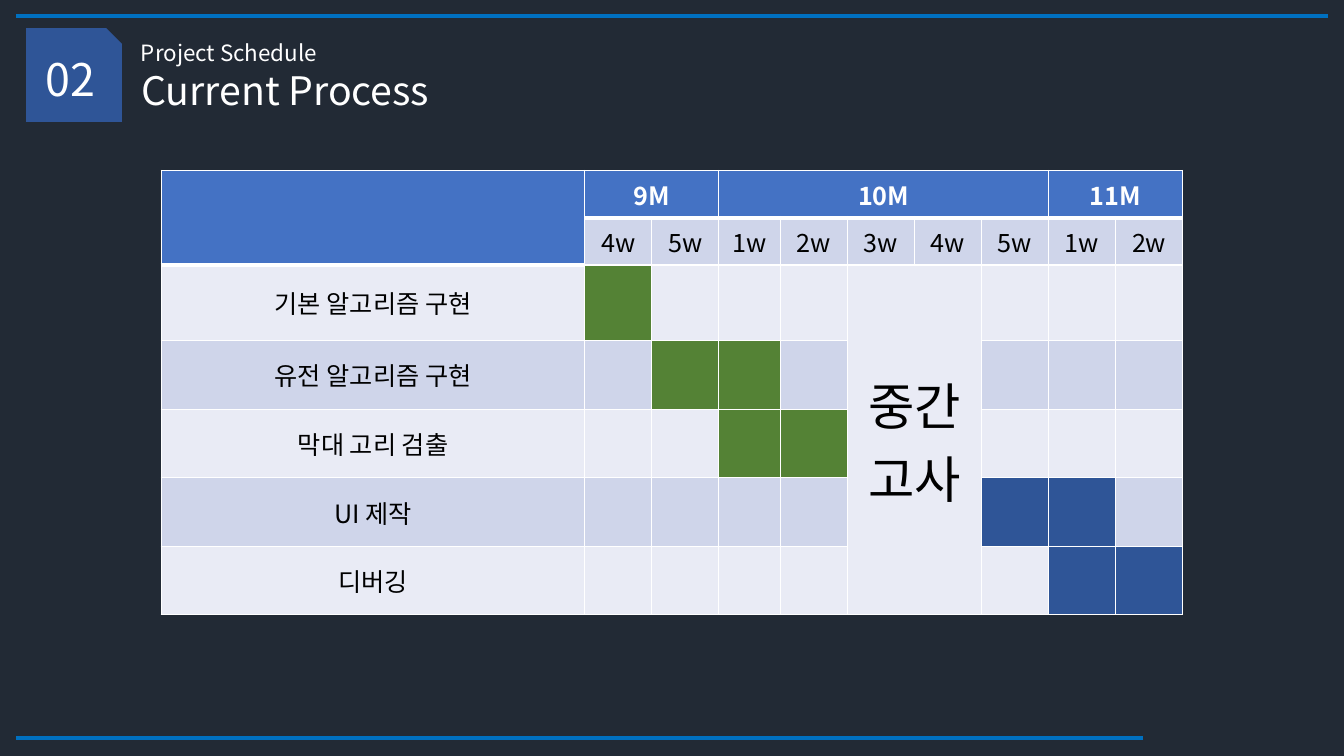
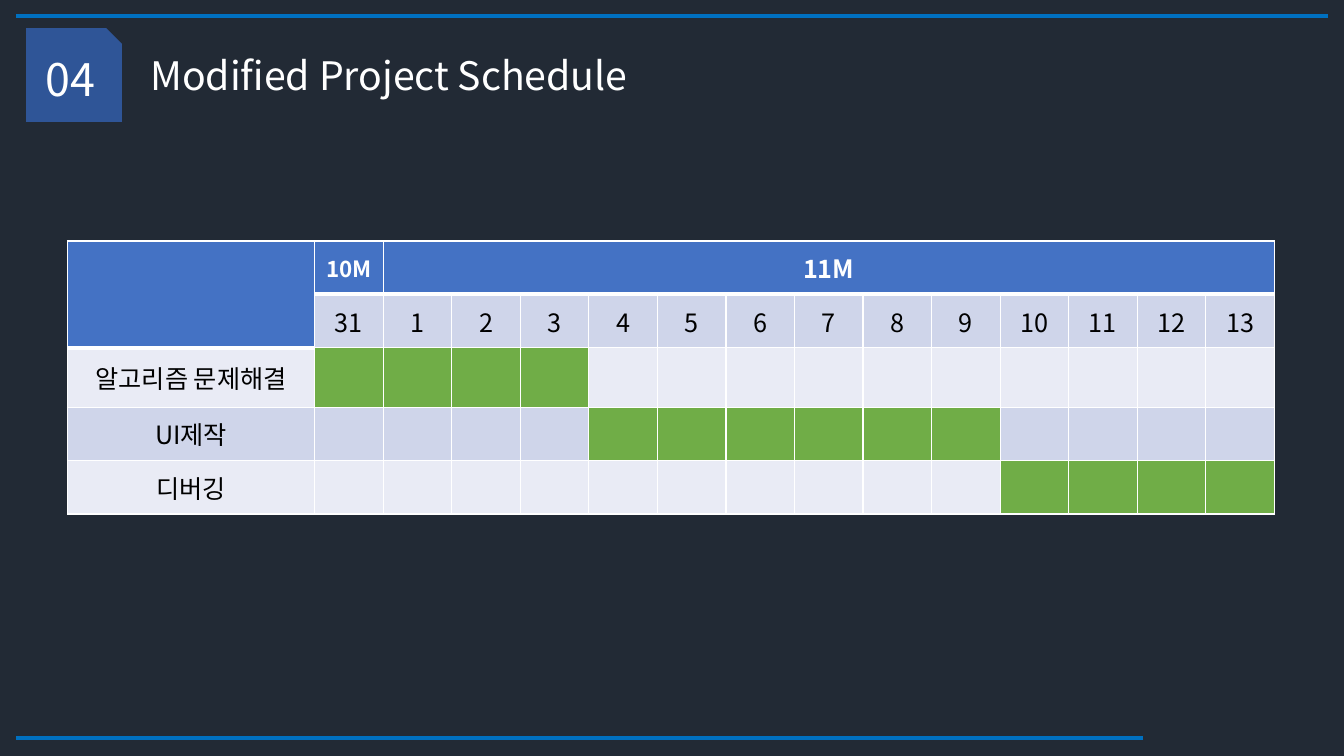
from lxml import etree
from pptx import Presentation, util as u
from pptx.dml.color import RGBColor
from pptx.enum import shapes, text
from pptx.oxml.ns import qn

FONT = "Noto Sans CJK KR"
WHITE, BLACK = "FFFFFF", "000000"
NIGHT, RULE, NAVY = "222A35", "0070C0", "2F5597"
HEADER, BAND_DARK, BAND_LIGHT = "4472C4", "CFD5EA", "E9EBF5"
DONE, PLANNED, REVISED = "548235", NAVY, "70AD47"
TITLE_ONLY = 5


def color(hex_code):
    return RGBColor.from_string(hex_code)


def box(left, top, width, height):
    return [u.Inches(n) for n in (left, top, width, height)]


def write(frame, words, size, ink=WHITE, bold=False, align=text.PP_ALIGN.LEFT):
    paragraph = frame.paragraphs[0]
    paragraph.alignment = align
    run = paragraph.add_run()
    run.text = words
    font = run.font
    font.size, font.bold, font.name = u.Pt(size), bold, FONT
    font.color.rgb = color(ink)
    etree.SubElement(font._element, qn("a:ea"), typeface=FONT)


def fit_frame(frame):
    frame.word_wrap = True
    frame.auto_size = text.MSO_AUTO_SIZE.NONE
    frame.vertical_anchor = text.MSO_ANCHOR.MIDDLE


def add_rule(slide, right, y):
    rule = slide.shapes.add_connector(
        shapes.MSO_CONNECTOR.STRAIGHT,
        u.Inches(0.16), u.Inches(y), u.Inches(right), u.Inches(y))
    rule.line.color.rgb = color(RULE)
    rule.line.width = u.Pt(3)
    etree.SubElement(rule._element.spPr, qn("a:effectLst"))


def add_badge(slide, number):
    badge = slide.shapes.add_shape(
        shapes.MSO_SHAPE.SNIP_1_RECTANGLE, *box(0.26, 0.28, 0.95, 0.93))
    badge.shadow.inherit = False
    badge.fill.solid()
    badge.fill.fore_color.rgb = color(NAVY)
    badge.line.fill.background()
    badge.text_frame.vertical_anchor = text.MSO_ANCHOR.MIDDLE
    write(badge.text_frame, number, 32, align=text.PP_ALIGN.CENTER)


def add_section_slide(prs, number, heading, heading_box, kicker=None):
    """Slide with rules, numbered badge, title and optional small line above it."""
    slide = prs.slides.add_slide(prs.slide_layouts[TITLE_ONLY])
    title = slide.shapes.title
    title.left, title.top, title.width, title.height = box(*heading_box)
    fit_frame(title.text_frame)
    write(title.text_frame, heading, 28)
    add_badge(slide, number)
    if kicker:
        line = slide.shapes.add_textbox(*box(1.3, 0.34, 8.9, 0.37))
        fit_frame(line.text_frame)
        write(line.text_frame, kicker, 16)
    add_rule(slide, 13.17, 0.16)
    add_rule(slide, 11.34, 7.32)
    return slide


def add_border(cell, side, points):
    edge = etree.SubElement(
        cell._tc.get_or_add_tcPr(), qn("a:ln" + side), w=str(u.Pt(points)))
    fill = etree.SubElement(edge, qn("a:solidFill"))
    etree.SubElement(fill, qn("a:srgbClr"), val=WHITE)


def paint(cell, fill):
    cell.fill.solid()
    cell.fill.fore_color.rgb = color(fill)


def label(cell, words, size=18, ink=BLACK, bold=False):
    cell.vertical_anchor = text.MSO_ANCHOR.MIDDLE
    write(cell.text_frame, words, size, ink, bold, text.PP_ALIGN.CENTER)


def style_cells(table):
    """Give each visible cell its white borders and its band colour."""
    for r, row in enumerate(table.rows):
        for cell in row.cells:
            if cell.is_spanned:
                continue
            for side in "LRT" if r == 0 else "LR":
                add_border(cell, side, 1)
            add_border(cell, "B", 3 if r == 0 else 1)
            paint(cell, HEADER if r == 0 else (BAND_LIGHT, BAND_DARK)[r % 2])


def add_gantt(slide, place, widths, heights, months, periods, tasks, pause=None):
    """Months are (name, periods, size); tasks are (name, first, last, colour);
    a pause is (name, first, last) and covers every task row."""
    table = slide.shapes.add_table(
        len(heights), len(widths), *box(*place, sum(widths), sum(heights))).table
    for column, width in zip(table.columns, widths):
        column.width = u.Inches(width)
    for row, height in zip(table.rows, heights):
        row.height = u.Inches(height)

    table.cell(0, 0).merge(table.cell(1, 0))
    start = 1
    for _, span, _ in months:
        if span > 1:
            table.cell(0, start).merge(table.cell(0, start + span - 1))
        start += span
    if pause:
        name, first, last = pause
        pause_cell = table.cell(2, first)
        pause_cell.merge(table.cell(len(heights) - 1, last))
    style_cells(table)

    start = 1
    for month, span, size in months:
        label(table.cell(0, start), month, size, WHITE, True)
        start += span
    for c, period in enumerate(periods, 1):
        label(table.cell(1, c), period)
    for r, (task, begin, end, bar) in enumerate(tasks, 2):
        label(table.cell(r, 0), task)
        for c in range(begin, end + 1):
            paint(table.cell(r, c), bar)
    if pause:
        label(pause_cell, name, 36)
        pause_cell._tc.get_or_add_tcPr().set("vert", "eaVert")


def add_current_process(prs):
    slide = add_section_slide(
        prs, "02", "Current Process", (1.3, 0.61, 8.9, 0.57), "Project Schedule")
    week = (10.13 - 4.2 - 0.61) / 8
    add_gantt(
        slide, (1.6, 1.69),
        [4.2] + [week] * 2 + [0.61] + [week] * 6,
        [0.47] * 2 + [0.75] + [0.68] * 4,
        [("9M", 2, 18), ("10M", 5, 18), ("11M", 2, 18)],
        ["4w", "5w", "1w", "2w", "3w", "4w", "5w", "1w", "2w"],
        [("기본 알고리즘 구현", 1, 1, DONE),
         ("유전 알고리즘 구현", 2, 3, DONE),
         ("막대 고리 검출", 3, 4, DONE),
         ("UI 제작", 7, 8, PLANNED),
         ("디버깅", 8, 9, PLANNED)],
        pause=("중간고사", 5, 6))


def add_modified_schedule(prs):
    slide = add_section_slide(
        prs, "04", "Modified Project Schedule", (1.39, 0.46, 5.05, 0.57))
    add_gantt(
        slide, (0.67, 2.39),
        [2.45] + [0.68] * 14,
        [0.53] * 2 + [0.59] + [0.53] * 2,
        [("10M", 1, 16), ("11M", 13, 18)],
        ["31"] + [str(day) for day in range(1, 14)],
        [("알고리즘 문제해결", 1, 4, REVISED),
         ("UI제작", 5, 10, REVISED),
         ("디버깅", 11, 14, REVISED)])


def main():
    prs = Presentation()
    prs.slide_width, prs.slide_height = u.Inches(13.33), u.Inches(7.5)
    backdrop = prs.slide_master.background.fill
    backdrop.solid()
    backdrop.fore_color.rgb = color(NIGHT)
    add_current_process(prs)
    add_modified_schedule(prs)
    prs.save("out.pptx")


if __name__ == "__main__":
    main()
